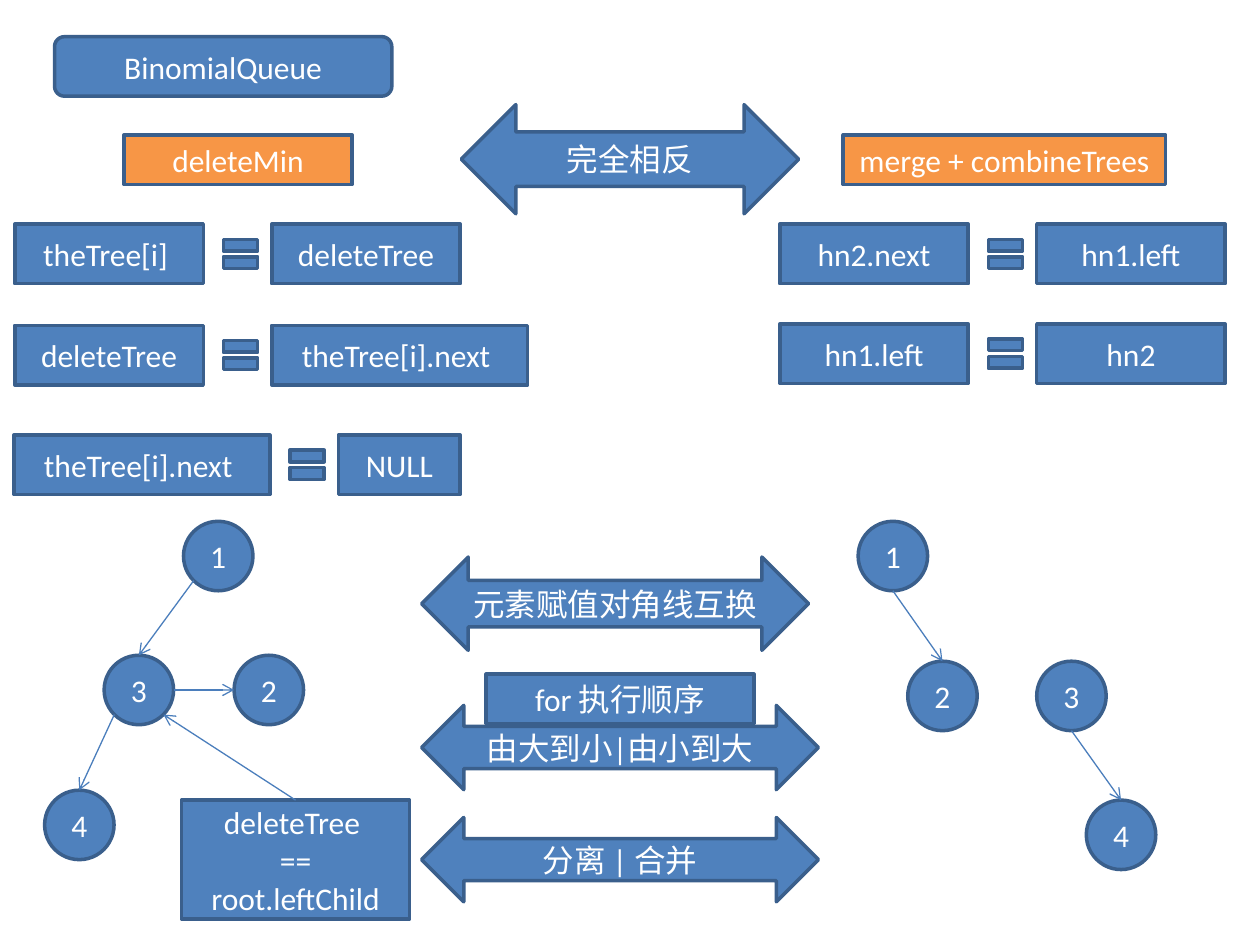
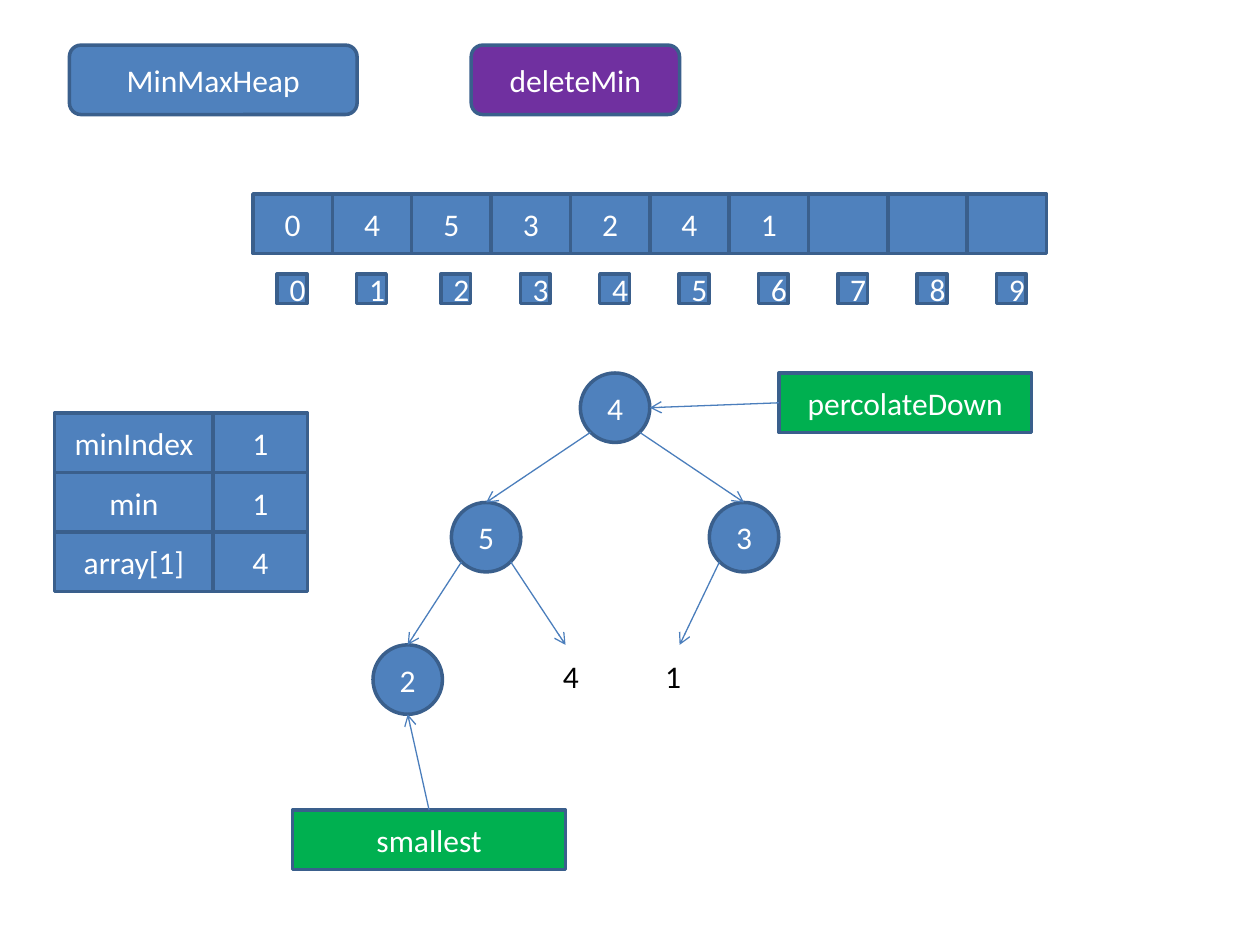
from math import sqrt

from lxml import etree
from pptx import Presentation
from pptx.dml.color import RGBColor
from pptx.enum.shapes import MSO_CONNECTOR, MSO_SHAPE
from pptx.enum.text import MSO_ANCHOR, PP_ALIGN
from pptx.oxml.ns import qn
from pptx.util import Cm, Pt

RECT = MSO_SHAPE.RECTANGLE
ROUND = MSO_SHAPE.ROUNDED_RECTANGLE
OVAL = MSO_SHAPE.OVAL
EQUAL = MSO_SHAPE.MATH_EQUAL
BOTH_WAYS = MSO_SHAPE.LEFT_RIGHT_ARROW
STRAIGHT = MSO_CONNECTOR.STRAIGHT
CENTER = PP_ALIGN.CENTER
MIDDLE = MSO_ANCHOR.MIDDLE

COLORS = {
    "blue": "4F81BD", "outline": "3A5F8C", "arrow": "4B7EBC",
    "orange": "F79646", "purple": "7030A0", "green": "00B050",
    "white": "FFFFFF", "black": "000000",
}
FONT = "Calibri"
NODE = 1.4   # node diameter, cm
ROW = 1.2    # usual box height, cm

# Directions from a shape's centre to points on its outline
TOP, BOTTOM, LEFT, RIGHT = (0, -1), (0, 1), (-1, 0), (1, 0)
DIAG = 1 / sqrt(2)
LOWER_LEFT, LOWER_RIGHT = (-DIAG, DIAG), (DIAG, DIAG)


def rgb(name):
    return RGBColor.from_string(COLORS[name])


def set_text(tf, text, color):
    tf.text = text
    for p in tf.paragraphs:
        p.font.size = Pt(18)
        p.font.name = FONT
        p.font.color.rgb = rgb(color)


def add_box(s, x, y, w, h, text="", fill="blue", kind=RECT):
    sp = s.shapes.add_shape(kind, Cm(x), Cm(y), Cm(w), Cm(h))
    sp.shadow.inherit = False
    sp.fill.solid()
    sp.fill.fore_color.rgb = rgb(fill)
    sp.line.color.rgb = rgb("outline")
    sp.line.width = Pt(2)
    tf = sp.text_frame
    tf.vertical_anchor = MIDDLE
    if text:
        set_text(tf, text, "white")
        for p in tf.paragraphs:
            p.alignment = CENTER
    return sp


def add_node(s, x, y, text):
    return add_box(s, x, y, NODE, NODE, text, kind=OVAL)


def add_label(s, x, y, text):
    sp = s.shapes.add_textbox(Cm(x), Cm(y), Cm(0.84), Cm(1.02))
    sp.text_frame.word_wrap = False
    set_text(sp.text_frame, text, "black")


def edge(sp, direction):
    """Point on the outline of a shape."""
    dx, dy = direction
    return (int(sp.left + sp.width * (1 + dx) / 2),
            int(sp.top + sp.height * (1 + dy) / 2))


def add_arrow(s, start, end):
    c = s.shapes.add_connector(STRAIGHT, *start, *end)
    c.line.color.rgb = rgb("arrow")
    c.line.width = Pt(0.75)
    ln = c.line._get_or_add_ln()
    etree.SubElement(ln, qn("a:tailEnd"), type="arrow")
    etree.SubElement(c._element.spPr, qn("a:effectLst"))


def add_equation(s, x, y, left, left_w, right, right_w):
    """Box, equals sign, box."""
    add_box(s, x, y, left_w, ROW, left)
    eq_x = x + left_w + 0.28
    add_box(s, eq_x, y + 0.1, 0.94, 1, kind=EQUAL)
    add_box(s, eq_x + 1.1, y, right_w, ROW, right)


# Binomial queue slide

def split_tree(s, x, y):
    one = add_node(s, x + 2.8, y, "1")
    three = add_node(s, x + 1.2, y + 2.7, "3")
    two = add_node(s, x + 3.82, y + 2.7, "2")
    four = add_node(s, x, y + 5.42, "4")
    pointer = add_box(s, x + 2.76, y + 5.62, 4.6, 2.4,
                      "deleteTree \n== root.leftChild")
    add_arrow(s, edge(one, LOWER_LEFT), edge(three, TOP))
    add_arrow(s, edge(three, LOWER_LEFT), edge(four, TOP))
    add_arrow(s, edge(three, RIGHT), edge(two, LEFT))
    add_arrow(s, edge(pointer, TOP), edge(three, LOWER_RIGHT))


def merged_trees(s, x, y):
    one = add_node(s, x, y, "1")
    two = add_node(s, x + 1, y + 2.82, "2")
    three = add_node(s, x + 3.6, y + 2.82, "3")
    four = add_node(s, x + 4.6, y + 5.62, "4")
    for parent, child in ((one, two), (three, four)):
        add_arrow(s, edge(parent, BOTTOM), edge(child, TOP))


def comparisons(s, x, y):
    for dx, dy, w, h, text in (
        (0.8, 0, 6.8, 2.2, "完全相反"),
        (0, 9.12, 7.8, 1.88, "元素赋值对角线互换"),
        (0, 12.11, 8, 1.7, "由大到小|由小到大"),
        (0, 14.37, 8, 1.7, "分离 | 合并"),
    ):
        add_box(s, x + dx, y + dy, w, h, text, kind=BOTH_WAYS)
    add_box(s, x + 1.3, y + 11.48, 5.4, 1, "for 执行顺序")


def binomial_queue_slide(prs):
    s = prs.slides.add_slide(prs.slide_layouts[6])
    add_box(s, 1.1, 0.74, 6.8, ROW, "BinomialQueue", kind=ROUND)
    add_box(s, 2.5, 2.72, 4.6, 1, "deleteMin", "orange")
    add_box(s, 17, 2.72, 6.5, 1, "merge + combineTrees", "orange")
    for equation in (
        (0.3, 4.52, "theTree[i] ", 3.8, "deleteTree", 3.8),
        (0.3, 6.56, "deleteTree", 3.8, "theTree[i].next ", 5.16),
        (0.28, 8.77, "theTree[i].next ", 5.16, "NULL", 2.46),
        (15.72, 4.52, "hn2.next", 3.8, "hn1.left", 3.8),
        (15.72, 6.53, "hn1.left", 3.8, "hn2", 3.8),
    ):
        add_equation(s, *equation)
    split_tree(s, 0.9, 10.51)
    merged_trees(s, 17.3, 10.51)
    comparisons(s, 8.5, 2.11)


# Min-max heap slide

def heap_array(s, x, y):
    cell_w = 1.6
    values = ["0", "4", "5", "3", "2", "4", "1", "", "", ""]
    for i, value in enumerate(values):
        cell_x = x + i * cell_w
        add_box(s, cell_x, y, cell_w, ROW, value)
        shift = 0.49 if i < 2 else 0.59
        add_box(s, cell_x + shift, y + 1.61, 0.6, 0.6, str(i))


def variables(s, x, y):
    rows = (("minIndex", "1"), ("min", "1"), ("array[1]", "4"))
    for i, (name, value) in enumerate(rows):
        add_box(s, x, y + i * ROW, 3.2, ROW, name)
        add_box(s, x + 3.2, y + i * ROW, 1.9, ROW, value)


def heap_tree(s, x, y):
    root = add_node(s, x + 5.8, y, "4")
    five = add_node(s, x + 3.2, y + 2.61, "5")
    three = add_node(s, x + 8.4, y + 2.61, "3")
    two = add_node(s, x + 1.62, y + 5.48, "2")
    add_label(s, x + 5.2, y + 5.61, "4")
    add_label(s, x + 7.26, y + 5.61, "1")
    percolate = add_box(s, x + 9.8, y, 5.1, ROW, "percolateDown", "green")
    smallest = add_box(s, x, y + 8.81, 5.5, ROW, "smallest", "green")
    leaf_y = Cm(y + 5.48)
    add_arrow(s, edge(root, LOWER_LEFT), edge(five, TOP))
    add_arrow(s, edge(root, LOWER_RIGHT), edge(three, TOP))
    add_arrow(s, edge(five, LOWER_LEFT), edge(two, TOP))
    add_arrow(s, edge(five, LOWER_RIGHT), (Cm(x + 5.5), leaf_y))
    add_arrow(s, edge(three, LOWER_LEFT), (Cm(x + 7.8), leaf_y))
    add_arrow(s, edge(percolate, LEFT), edge(root, RIGHT))
    add_arrow(s, edge(smallest, TOP), edge(two, BOTTOM))


def min_max_heap_slide(prs):
    s = prs.slides.add_slide(prs.slide_layouts[6])
    add_box(s, 1.4, 0.91, 5.8, 1.4, "MinMaxHeap", kind=ROUND)
    add_box(s, 9.5, 0.91, 4.2, 1.4, "deleteMin", "purple", ROUND)
    heap_array(s, 5.1, 3.91)
    variables(s, 1.1, 8.33)
    heap_tree(s, 5.9, 7.52)


def main():
    prs = Presentation()
    prs.slide_width, prs.slide_height = Cm(25.4), Cm(19.05)
    binomial_queue_slide(prs)
    min_max_heap_slide(prs)
    prs.save("out.pptx")


if __name__ == "__main__":
    main()
